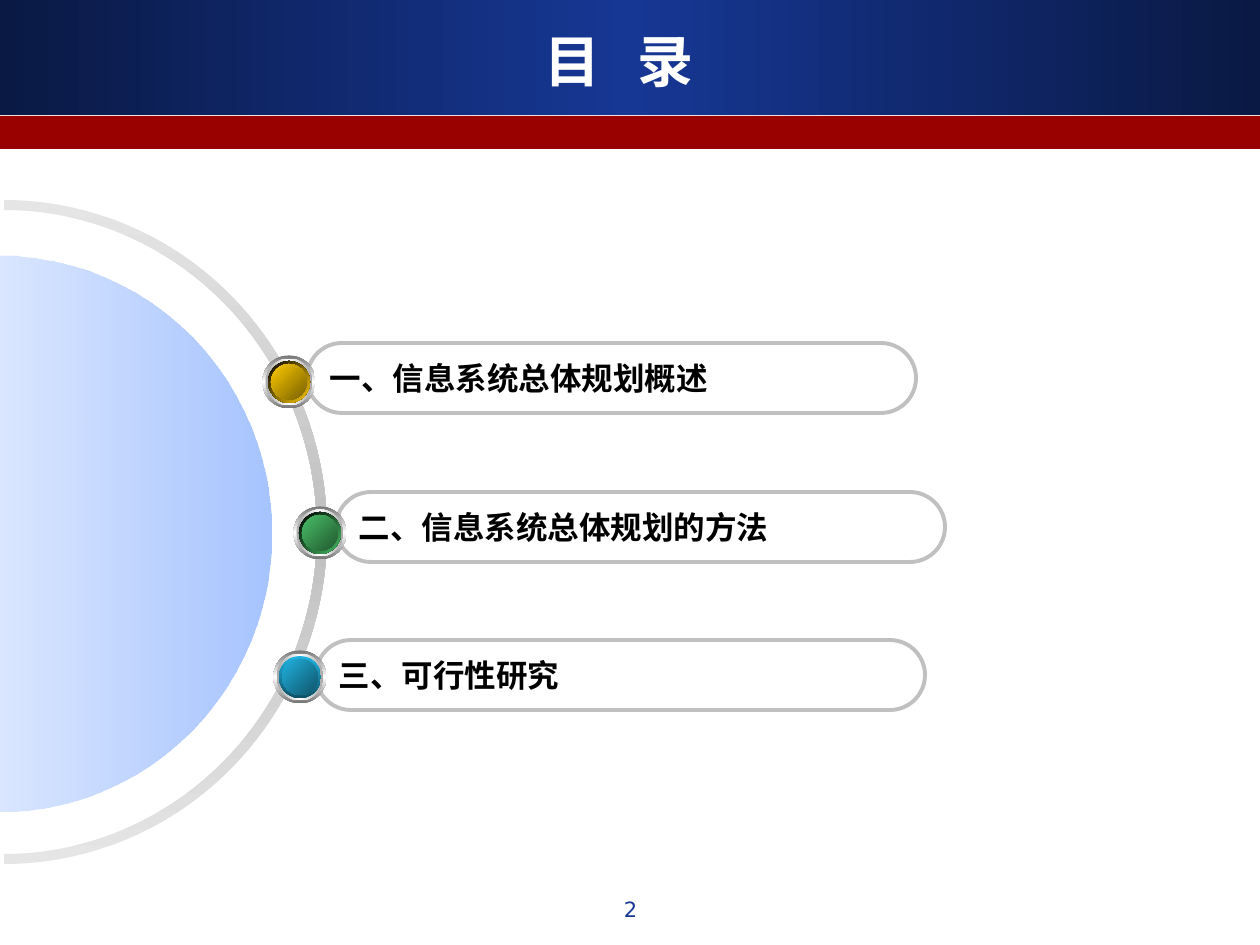
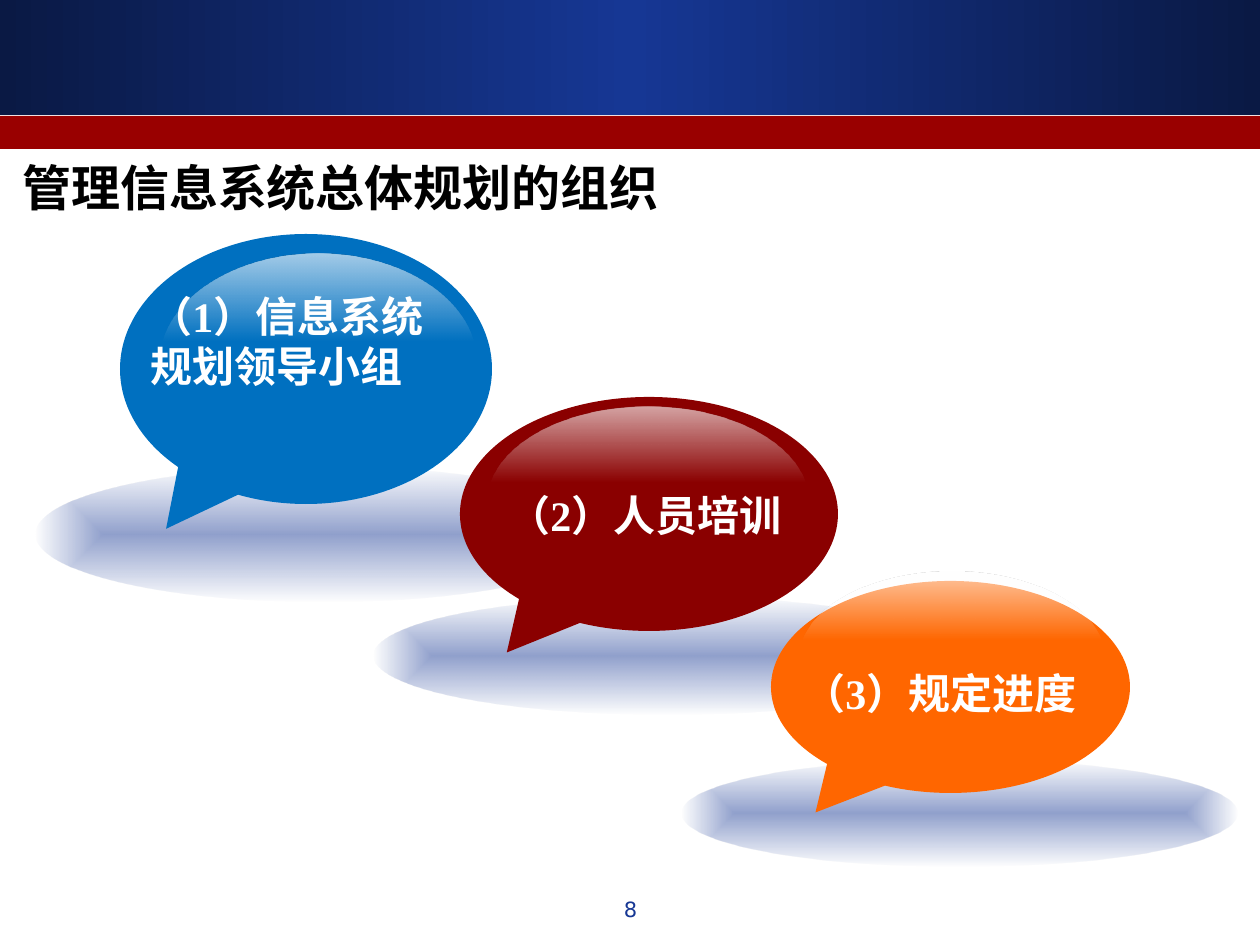
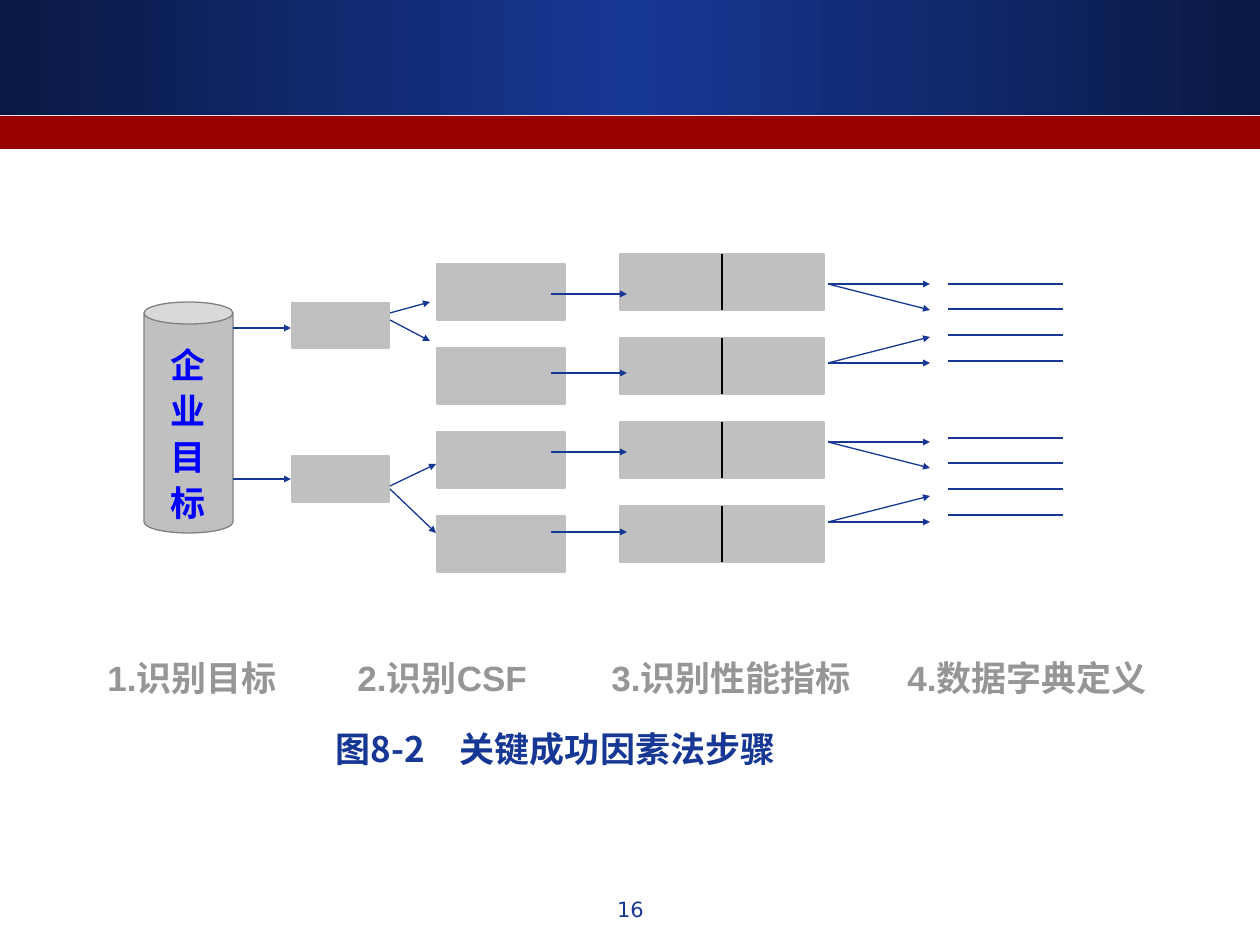
from lxml import etree
from pptx import Presentation
from pptx import util as u
from pptx.dml.color import RGBColor
from pptx.enum import shapes, text
from pptx.oxml.ns import qn

PIXEL = 914400 / 126
COLORS = {
    "navy": "163794", "night": "0A1944", "red": "990000", "white": "FFFFFF",
    "black": "000000", "gray": "C0C0C0", "pale": "E5E5E5", "edge": "808080",
    "rim": "767676", "bezel": "A8A8A8", "sky": "6699FF",
    "gold": "FFCC00", "gold_dark": "775F00", "green": "48BE67", "green_dark": "225930",
    "cyan": "21B3E1", "cyan_dark": "0F5469", "teal": "0F5267",
    "blue": "0070C0", "maroon": "8A0000", "orange": "FF6600",
    "label": "969696", "can_text": "0000FF",
}
SANS, CJK, SERIF = "DejaVu Sans", "Noto Sans CJK SC", "Times New Roman"
OVAL = shapes.MSO_SHAPE.OVAL
RECTANGLE = shapes.MSO_SHAPE.RECTANGLE
CENTER = text.PP_ALIGN.CENTER
MIDDLE = text.MSO_ANCHOR.MIDDLE


def px(*values):
    return [u.Emu(round(value * PIXEL)) for value in values]


def paint(shape, stops, angle=0, line=None):
    shape.shadow.inherit = False
    if line:
        shape.line.color.rgb = RGBColor.from_string(COLORS[line[0]])
        shape.line.width = u.Pt(line[1])
    else:
        shape.line.fill.background()
    if not stops:
        shape.fill.background()
        return
    if isinstance(stops, str):
        shape.fill.solid()
        shape.fill.fore_color.rgb = RGBColor.from_string(COLORS[stops])
        return
    shape.fill.gradient()
    gradient = shape._element.spPr.find(qn("a:gradFill"))
    for child in list(gradient):
        gradient.remove(child)
    stop_list = etree.SubElement(gradient, qn("a:gsLst"))
    for position, color, alpha in stops:
        stop = etree.SubElement(stop_list, qn("a:gs"), pos=str(position * 1000))
        value = etree.SubElement(stop, qn("a:srgbClr"), val=COLORS[color])
        if alpha < 100:
            etree.SubElement(value, qn("a:alpha"), val=str(alpha * 1000))
    if angle is None:
        radial = etree.SubElement(gradient, qn("a:path"), path="shape")
        etree.SubElement(radial, qn("a:fillToRect"), l="50000", t="50000", r="50000", b="50000")
    else:
        etree.SubElement(gradient, qn("a:lin"), ang=str(angle * 60000), scaled="1")


def write(shape, content, size, font, color, bold=True, align=text.PP_ALIGN.LEFT,
          anchor=text.MSO_ANCHOR.TOP, new=False):
    frame = shape.text_frame
    frame.word_wrap = True
    frame.vertical_anchor = anchor
    paragraph = frame.add_paragraph() if new else frame.paragraphs[0]
    paragraph.alignment = align
    run = paragraph.add_run()
    run.text = content
    for name, value in {"size": u.Pt(size), "bold": bold, "name": font}.items():
        setattr(run.font, name, value)
    run.font.color.rgb = RGBColor.from_string(COLORS[color])
    etree.SubElement(run.font._element, qn("a:ea"), typeface=CJK)
    return paragraph


presentation = Presentation()
presentation.slide_width, presentation.slide_height = px(1260, 945)

slides = []
for number in (2, 8, 16):
    slide = presentation.slides.add_slide(presentation.slide_layouts[6])
    slides.append(slide)
    band = slide.shapes.add_shape(RECTANGLE, *px(0, 0, 1260, 115))
    paint(band, [(0, "night", 100), (50, "navy", 100), (100, "night", 100)])
    stripe = slide.shapes.add_shape(RECTANGLE, *px(0, 116, 1260, 33))
    paint(stripe, "red")
    footer = slide.shapes.add_textbox(*px(484, 890, 293, 44))
    write(footer, str(number), 12, SANS, "navy", bold=False, align=CENTER)
contents, organization, steps = slides

title = contents.shapes.add_textbox(*px(36, 21, 1166, 78))
heading = write(title, "目 录", 32, SANS, "white", align=CENTER, anchor=MIDDLE)
heading.runs[0].font._element.set("spc", "700")

arc = contents.shapes.add_shape(shapes.MSO_SHAPE.BLOCK_ARC, *px(-328, 209, 664, 646))
arc.adjustments[2] = 0.0155
arc.rotation = 90
paint(arc, [(0, "pale", 100), (50, "gray", 100), (100, "pale", 100)])
disc = contents.shapes.add_shape(shapes.MSO_SHAPE.CHORD, *px(-278, 263, 556, 542))
disc.adjustments[0], disc.adjustments[1] = 108, 0
disc.rotation = 90
paint(disc, [(0, "sky", 58), (100, "sky", 24)], 90)

entries = [
    ("一、信息系统总体规划概述", 307, 343, 289, 382, "gold", "gold_dark", ("black", "gold", 45)),
    ("二、信息系统总体规划的方法", 336, 492, 320, 533, "green", "green_dark", ("black", "green", 45)),
    ("三、可行性研究", 316, 640, 300, 677, "cyan", "cyan_dark", ("cyan", "teal", 90)),
]
for label, left, top, x, y, light, dark, groove in entries:
    pill = contents.shapes.add_shape(
        shapes.MSO_SHAPE.ROUNDED_RECTANGLE, *px(left, top, 609, 70))
    pill.adjustments[0] = 0.5
    paint(pill, None, line=("gray", 2.25))
    write(pill, label, 18, CJK, "black", anchor=MIDDLE)
    layers = [
        (53, [(0, "rim", 100), (50, "white", 100), (100, "rim", 100)], 90),
        (47, [(0, "bezel", 100), (50, "white", 100), (100, "bezel", 100)], 0),
        (42, [(0, groove[0], 100), (100, groove[1], 100)], groove[2]),
        (36, [(0, light, 100), (100, dark, 100)], 45),
    ]
    node = contents.shapes.add_group_shape()
    for size, stops, angle in layers:
        button = node.shapes.add_shape(OVAL, *px(x - size / 2, y - size / 2, size, size))
        paint(button, stops, angle)

subject = organization.shapes.add_textbox(*px(10, 138, 1211, 98))
write(subject, "管理信息系统总体规划的组织", 28, CJK, "black", anchor=MIDDLE)

bubbles = [
    ("（1）信息系统规划领导小组", "blue", (35, 467, 576, 135), (120, 234, 372, 270),
     (160, 254, 316, 219), (138, 284, 316, 115)),
    ("（2）人员培训", "maroon", (374, 597, 586, 117), (460, 397, 378, 234),
     (488, 407, 321, 189), (496, 483, 321, 63)),
    ("（3）规定进度", "orange", (682, 760, 556, 106), (771, 581, 359, 212),
     (800, 572, 305, 171), (791, 661, 305, 63)),
]
for label, color, shade_box, bubble_box, gloss_box, label_box in bubbles:
    balloon = organization.shapes.add_group_shape()
    shade = balloon.shapes.add_shape(OVAL, *px(*shade_box))
    paint(shade, [(0, "navy", 47), (100, "navy", 0)], None)
    bubble = balloon.shapes.add_shape(shapes.MSO_SHAPE.OVAL_CALLOUT, *px(*bubble_box))
    bubble.adjustments[0], bubble.adjustments[1] = -0.376, 0.592
    paint(bubble, color)
    gloss = balloon.shapes.add_shape(OVAL, *px(*gloss_box))
    paint(gloss, [(0, "white", 64), (40, "white", 0)], 90)
    caption = balloon.shapes.add_textbox(*px(*label_box))
    write(caption, label, 24, SERIF, "white")

goal = steps.shapes.add_shape(shapes.MSO_SHAPE.CAN, *px(144, 302, 89, 231))
goal.adjustments[0] = 0.248
paint(goal, "gray", line=("edge", 0.75))
goal_text = steps.shapes.add_textbox(*px(144, 333, 89, 189))
write(goal_text, "企业目标", 20, SERIF, "can_text", align=CENTER).line_spacing = 1.1

boxes = [(292, 303, 97, 45), (292, 456, 97, 46)]
arrows = [
    (233, 328, 291, 328), (233, 479, 291, 479),
    (390, 313, 430, 302), (390, 320, 430, 341),
    (390, 486, 436, 464), (390, 489, 436, 533),
]
rules = []
dividers = []
for row in range(4):
    boxes += [(437, 264 + 84 * row, 128, 56), (620, 254 + 84 * row, 204, 56)]
    dividers.append((722, 254 + 84 * row, 722, 310 + 84 * row))
    drop = 238 * row // 3
    arrows.append((551, 294 + drop, 627, 294 + drop))
    start = 284 + drop
    slant = -26 if row % 2 else 26
    arrows += [(828, start, 930, start), (828, start, 930, start + slant)]
    rules += [(948, top + 77 * row // 3, 1063, top + 77 * row // 3) for top in (284, 438)]

for box in boxes:
    paint(steps.shapes.add_shape(RECTANGLE, *px(*box)), "gray", line=("gray", 0.75))
for lines, color, pointed in (
    (arrows, "navy", True), (rules, "navy", False), (dividers, "black", False),
):
    for ends in lines:
        connector = steps.shapes.add_connector(shapes.MSO_CONNECTOR.STRAIGHT, *px(*ends))
        connector.line.color.rgb = RGBColor.from_string(COLORS[color])
        connector.line.width = u.Pt(0.75)
        if pointed:
            etree.SubElement(connector.line._get_or_add_ln(), qn("a:tailEnd"),
                             type="triangle", w="sm", len="sm")
        etree.SubElement(connector._element.spPr, qn("a:effectLst"))

captions = steps.shapes.add_textbox(*px(95, 650, 1081, 130))
stages = write(captions, "1.识别目标\t2.识别CSF\t3.识别性能指标\t4.数据字典定义", 20, "Arial", "label")
tabs = etree.SubElement(stages._p.get_or_add_pPr(), qn("a:tabLst"))
for position in px(250, 504, 800):
    etree.SubElement(tabs, qn("a:tab"), pos=str(position), algn="l")
figure = write(captions, "图8-2\u3000关键成功因素法步骤", 20, CJK, "navy", new=True)
figure.space_before = u.Pt(16.5)
figure._p.get_or_add_pPr().set("marL", str(px(228)[0]))

presentation.save("out.pptx")
